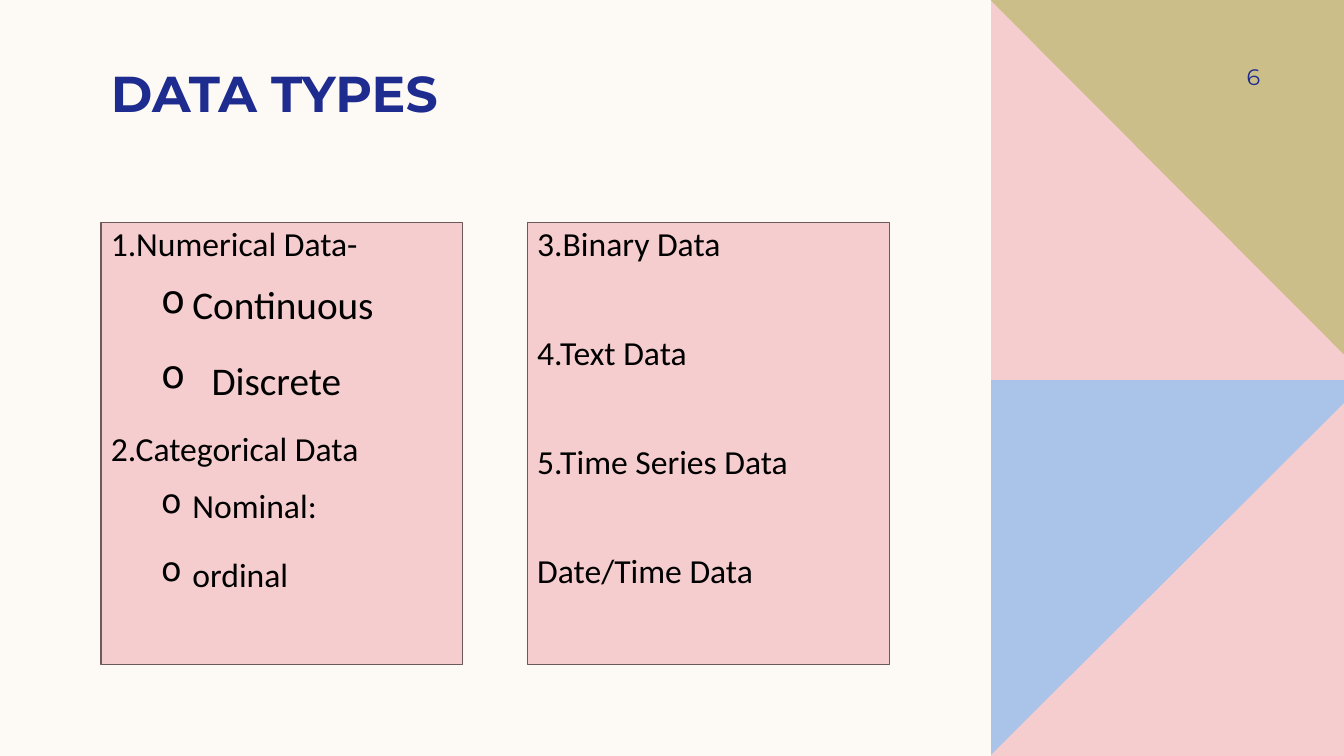
from typing import NamedTuple

from lxml import etree
from pptx import Presentation
from pptx.dml.color import RGBColor
from pptx.enum.shapes import MSO_SHAPE
from pptx.enum.text import MSO_ANCHOR, MSO_AUTO_SIZE, PP_ALIGN
from pptx.oxml.ns import qn
from pptx.util import Inches, Pt

RECTANGLE = MSO_SHAPE.RECTANGLE
TOP, MIDDLE, BOTTOM = MSO_ANCHOR.TOP, MSO_ANCHOR.MIDDLE, MSO_ANCHOR.BOTTOM
LEFT, RIGHT = PP_ALIGN.LEFT, PP_ALIGN.RIGHT
NO_AUTOFIT = MSO_AUTO_SIZE.NONE

CREAM, PINK, BLUE, GOLD = "FDFAF6", "F5CDCE", "AAC3E8", "CCBE89"
NAVY, BLACK, BORDER = "1F2C8F", "000000", "6B5A5A"
PAGE_WIDTH, PAGE_HEIGHT = 13.33, 7.5
BAND_LEFT = 9.83
HEADING_FONT, BODY_FONT = "Montserrat", "Calibri"


class Panel(NamedTuple):
    color: str
    points: list[tuple[float, float]]


class Entry(NamedTuple):
    text: str
    size: int = 24
    bulleted: bool = False
    before: int = 10


class Card(NamedTuple):
    left: float
    entries: list[Entry]


PANELS = [
    Panel(BLUE, [(BAND_LEFT, 3.75), (PAGE_WIDTH, 3.75),
                 (PAGE_WIDTH, PAGE_HEIGHT), (BAND_LEFT, PAGE_HEIGHT)]),
    Panel(PINK, [(PAGE_WIDTH, 4), (PAGE_WIDTH, PAGE_HEIGHT),
                 (BAND_LEFT, PAGE_HEIGHT), (BAND_LEFT, 7.49)]),
    Panel(GOLD, [(BAND_LEFT, 0), (PAGE_WIDTH, 0),
                 (PAGE_WIDTH, 3.76), (BAND_LEFT, 3.76)]),
    Panel(PINK, [(BAND_LEFT, 0.01), (PAGE_WIDTH, 3.52),
                 (PAGE_WIDTH, 3.77), (BAND_LEFT, 3.77)]),
]

CARDS = [
    Card(1, [
        Entry("1.Numerical Data-", before=0),
        Entry("Continuous", 28, True),
        Entry("\tDiscrete", 28, True),
        Entry("2.Categorical Data"),
        Entry("Nominal:", bulleted=True),
        Entry("ordinal", bulleted=True),
    ]),
    Card(5.23, [
        Entry("3.Binary Data", before=0),
        Entry("4.Text Data", before=49),
        Entry("5.Time Series Data", before=49),
        Entry("Date/Time Data", before=49),
    ]),
]


def color(value: str) -> RGBColor:
    return RGBColor.from_string(value)


def place(shape, left: float, top: float, width: float, height: float) -> None:
    shape.left, shape.top = Inches(left), Inches(top)
    shape.width, shape.height = Inches(width), Inches(height)


def set_frame(frame, anchor, right: float = 0.1, vertical: float = 0) -> None:
    frame.word_wrap = True
    frame.auto_size = NO_AUTOFIT
    frame.vertical_anchor = anchor
    frame.margin_left, frame.margin_right = Inches(0.1), Inches(right)
    frame.margin_top = frame.margin_bottom = Inches(vertical)


def add_span(para, text: str, size: int, font: str, ink: str,
             bold: bool = False) -> None:
    span = para.add_run()
    span.text = text
    span.font.name = font
    span.font.size = Pt(size)
    span.font.bold = bold
    span.font.color.rgb = color(ink)


def add_bullet(para) -> None:
    properties = para._p.get_or_add_pPr()
    properties.set("marL", str(Inches(0.81)))
    properties.set("indent", str(Inches(-0.31)))
    etree.SubElement(properties, qn("a:buChar"), char="o")
    tabs = etree.SubElement(properties, qn("a:tabLst"))
    etree.SubElement(tabs, qn("a:tab"), pos=str(Inches(1)), algn="l")
    para.level = 1
    para.line_spacing = 1.07
    para.space_after = Pt(8)


def add_panel(page, panel: Panel) -> None:
    points = [(Inches(x), Inches(y)) for x, y in panel.points]
    builder = page.shapes.build_freeform(*points[0])
    builder.add_line_segments(points[1:], close=True)
    shape = builder.convert_to_shape()
    shape.shadow.inherit = False
    shape.fill.solid()
    shape.fill.fore_color.rgb = color(panel.color)
    shape.line.fill.background()


def add_title(page) -> None:
    title = page.shapes.title
    place(title, 1, 0.61, 8.53, 0.61)
    set_frame(title.text_frame, BOTTOM)
    para = title.text_frame.paragraphs[0]
    para.alignment = LEFT
    add_span(para, "DATA TYPES", 36, HEADING_FONT, NAVY, bold=True)


def add_page_number(page) -> None:
    box = page.shapes.add_textbox(Inches(11.42), Inches(0.5),
                                  Inches(1.08), Inches(0.52))
    set_frame(box.text_frame, MIDDLE, right=0, vertical=0.05)
    para = box.text_frame.paragraphs[0]
    para.alignment = RIGHT
    add_span(para, "6", 16, HEADING_FONT, NAVY)


def add_card(page, card: Card) -> None:
    box = page.shapes.add_shape(RECTANGLE, Inches(card.left), Inches(2.21),
                                Inches(3.59), Inches(4.38))
    box.shadow.inherit = False
    box.fill.solid()
    box.fill.fore_color.rgb = color(PINK)
    box.line.color.rgb = color(BORDER)
    box.line.width = Pt(1)
    frame = box.text_frame
    set_frame(frame, TOP)
    for index, entry in enumerate(card.entries):
        para = frame.add_paragraph() if index else frame.paragraphs[0]
        if entry.bulleted:
            add_bullet(para)
        para.alignment = LEFT
        para.space_before = Pt(entry.before)
        add_span(para, entry.text, entry.size, BODY_FONT, BLACK)


def main() -> None:
    deck = Presentation()
    deck.slide_width, deck.slide_height = Inches(PAGE_WIDTH), Inches(PAGE_HEIGHT)
    page = deck.slides.add_slide(deck.slide_layouts.get_by_name("Title Only"))
    page.background.fill.solid()
    page.background.fill.fore_color.rgb = color(CREAM)
    for panel in PANELS:
        add_panel(page, panel)
    add_title(page)
    add_page_number(page)
    for card in CARDS:
        add_card(page, card)
    deck.save("out.pptx")


if __name__ == "__main__":
    main()
